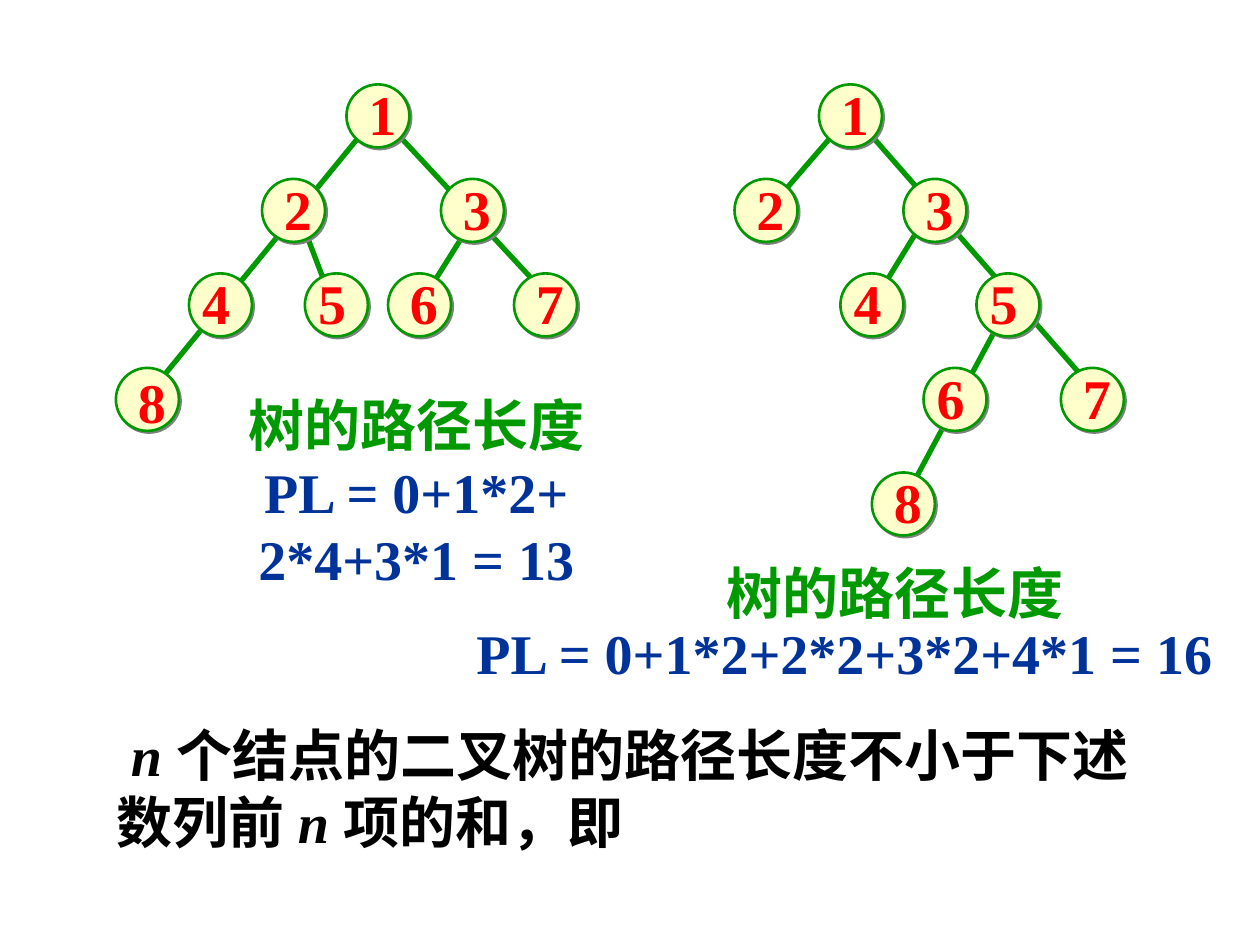
from lxml import etree
from pptx import Presentation
from pptx.dml.color import RGBColor
from pptx.enum.shapes import MSO_CONNECTOR, MSO_SHAPE
from pptx.enum.text import MSO_ANCHOR, MSO_AUTO_SIZE, PP_ALIGN
from pptx.oxml.ns import qn
from pptx.util import Inches, Pt

STRAIGHT = MSO_CONNECTOR.STRAIGHT
ELLIPSE = MSO_SHAPE.OVAL
TOP, MIDDLE = MSO_ANCHOR.TOP, MSO_ANCHOR.MIDDLE
LEFT, CENTER = PP_ALIGN.LEFT, PP_ALIGN.CENTER
GROW = MSO_AUTO_SIZE.SHAPE_TO_FIT_TEXT

CENTERED, SHIFTED = -0.01, -0.08

LEFT_TREE = {
    "edges": [
        (3.75, 1.75, 3.33, 2.42),
        (2.42, 1.83, 2.58, 2.25),
        (3.17, 1.08, 4.33, 2.33),
        (2.92, 1.00, 1.08, 3.25),
    ],
    "nodes": [
        ("1", 2.75, 0.67, CENTERED, -0.09),
        ("2", 2.08, 1.42, CENTERED, -0.09),
        ("3", 3.50, 1.42, CENTERED, -0.09),
        ("4", 1.50, 2.17, SHIFTED, -0.09),
        ("5", 2.42, 2.17, SHIFTED, -0.09),
        ("6", 3.08, 2.17, CENTERED, -0.09),
        ("7", 4.08, 2.17, CENTERED, -0.09),
        ("8", 0.92, 2.92, CENTERED, -0.06),
    ],
}
RIGHT_TREE = {
    "edges": [
        (7.33, 1.75, 6.92, 2.42),
        (7.92, 2.58, 7.25, 3.83),
        (6.92, 1.08, 8.67, 3.08),
        (6.67, 1.00, 6.17, 1.58),
    ],
    "nodes": [
        ("1", 6.50, 0.67, CENTERED, -0.09),
        ("2", 5.83, 1.42, CENTERED, -0.09),
        ("3", 7.17, 1.42, CENTERED, -0.09),
        ("4", 6.67, 2.17, SHIFTED, -0.09),
        ("5", 7.75, 2.17, SHIFTED, -0.09),
        ("6", 7.33, 2.92, SHIFTED, -0.09),
        ("7", 8.42, 2.92, CENTERED, -0.09),
        ("8", 6.92, 3.75, CENTERED, -0.09),
    ],
}


def color(value):
    return RGBColor.from_string(value)


class TreePage:
    font = "Times New Roman"
    size = 32
    green, blue, red, black = "009900", "003399", "FF0000", "000000"
    cream, gray = "FFFFCC", "808080"
    diameter = 0.5

    def __init__(self, deck):
        self.page = deck.slides.add_slide(deck.slide_layouts[6])

    def edge(self, x1, y1, x2, y2):
        line = self.page.shapes.add_connector(
            STRAIGHT, Inches(x1), Inches(y1), Inches(x2), Inches(y2))
        line.line.color.rgb = color(self.green)
        line.line.width = Pt(3)
        etree.SubElement(line._element.spPr, qn("a:effectLst"))

    def circle(self, left, top):
        circle = self.page.shapes.add_shape(
            ELLIPSE, Inches(left), Inches(top),
            Inches(self.diameter), Inches(self.diameter))
        circle.fill.solid()
        circle.fill.fore_color.rgb = color(self.cream)
        circle.line.color.rgb = color(self.green)
        circle.line.width = Pt(1.5)
        circle.shadow.inherit = False
        effects = circle._element.spPr.find(qn("a:effectLst"))
        shadow = etree.SubElement(
            effects, qn("a:outerShdw"), dist=str(Pt(1.4)),
            dir="2700000", algn="ctr", rotWithShape="0")
        etree.SubElement(shadow, qn("a:srgbClr"), val=self.gray)

    def text(self, place, lines, align=CENTER, anchor=MIDDLE, wrap=True, spacing=None):
        box = self.page.shapes.add_textbox(*map(Inches, place))
        frame = box.text_frame
        frame.word_wrap = wrap
        frame.auto_size = GROW
        frame.vertical_anchor = anchor
        frame.text = "\n".join(text for text, _ in lines)
        for para, (_, ink) in zip(frame.paragraphs, lines):
            para.alignment = align
            para.line_spacing = spacing
            for span in para.runs:
                self.style(span, ink)
        return frame

    def style(self, span, ink, italic=False):
        span.font.name = self.font
        span.font.size = Pt(self.size)
        span.font.bold = True
        span.font.italic = italic
        span.font.color.rgb = color(ink)

    def tree(self, edges, nodes):
        for ends in edges:
            self.edge(*ends)
        for _, left, top, _, _ in nodes:
            self.circle(left, top)
        for label, left, top, dx, dy in nodes:
            self.text((left + dx, top + dy, 0.59, 0.64), [(label, self.red)])

    def statement(self, place, spans):
        frame = self.text(place, [("", self.black)], LEFT, TOP)
        para = frame.paragraphs[0]
        for text, italic in spans:
            span = para.add_run()
            span.text = text
            self.style(span, self.black, italic)


def main():
    deck = Presentation()
    deck.slide_width, deck.slide_height = Inches(10), Inches(7.5)
    page = TreePage(deck)
    page.tree(**LEFT_TREE)
    page.tree(**RIGHT_TREE)
    page.text((1.87, 3.05, 2.87, 1.7), [
        ("树的路径长度", page.green),
        ("PL = 0+1*2+", page.blue),
        ("2*4+3*1 = 13", page.blue),
    ], wrap=False)
    sums = page.text((3.67, 4.44, 6.07, 1.06), [
        ("树的路径长度", page.green),
        ("PL = 0+1*2+2*2+3*2+4*1 = 16", page.blue),
    ], wrap=False, spacing=0.9)
    sums.paragraphs[0]._p.get_or_add_pPr().set("marL", str(Inches(0.8)))
    page.statement((0.83, 5.67, 8.5, 1.17), [
        (" n ", True),
        ("个结点的二叉树的路径长度不小于下述数列前 ", False),
        ("n ", True),
        ("项的和，即", False),
    ])
    deck.save("out.pptx")


if __name__ == "__main__":
    main()
